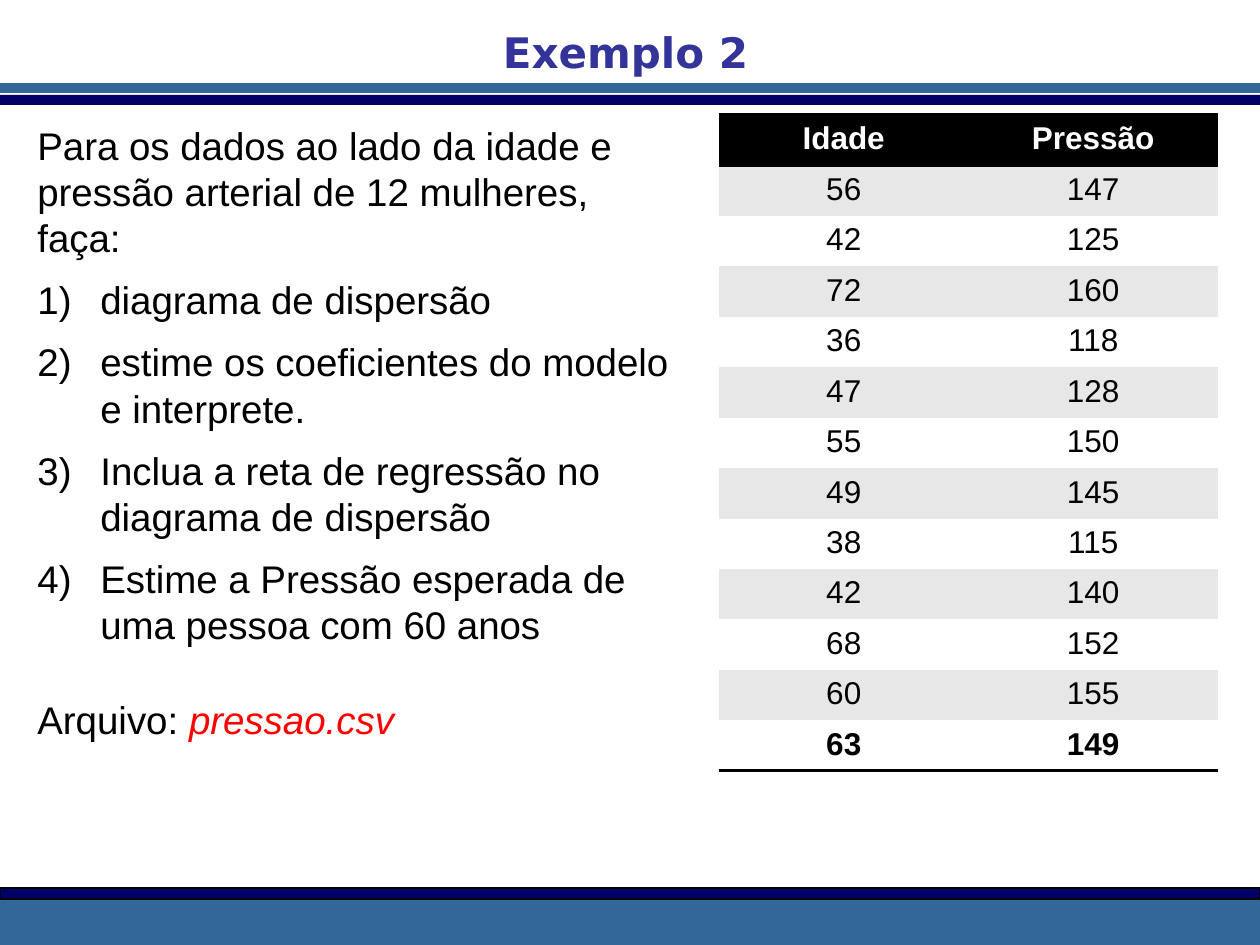
from lxml import etree
from pptx import Presentation
from pptx.dml.color import RGBColor
from pptx.enum.shapes import MSO_SHAPE
from pptx.enum.text import MSO_ANCHOR, MSO_AUTO_SIZE, PP_ALIGN
from pptx.oxml.ns import qn
from pptx.util import Emu, Pt

RECTANGLE = MSO_SHAPE.RECTANGLE
MIDDLE = MSO_ANCHOR.MIDDLE
NO_AUTOFIT = MSO_AUTO_SIZE.NONE
CENTER = PP_ALIGN.CENTER
PX_PER_INCH = 126
TITLE_ONLY = 5

BLACK, WHITE, GREY = "000000", "FFFFFF", "E7E7E7"
STEEL, NAVY, INDIGO, RED = "336699", "000066", "333399", "FF0000"

BANDS = [
    (0, 84, 1260, 10, STEEL, STEEL),
    (0, 94, 1260, 22, WHITE, WHITE),
    (0, 95, 1260, 10, NAVY, None),
    (0, 900, 1260, 45, STEEL, None),
    (0, 888, 1260, 11, NAVY, BLACK),
]
INTRO = "Para os dados ao lado da idade e pressão arterial de 12 mulheres, faça:"
TASKS = [
    "diagrama de dispersão",
    "estime os coeficientes do modelo e interprete.",
    "Inclua a reta de regressão no diagrama de dispersão",
    "Estime a Pressão esperada de uma pessoa com 60 anos",
]
MEASUREMENTS = [
    ("Idade", "Pressão"),
    (56, 147), (42, 125), (72, 160), (36, 118), (47, 128), (55, 150),
    (49, 145), (38, 115), (42, 140), (68, 152), (60, 155), (63, 149),
]


def px(length):
    return Emu(round(length * 914400 / PX_PER_INCH))


def rgb(color):
    return RGBColor.from_string(color)


def add_run(paragraph, text, size, color=BLACK, font="Arial", bold=False, italic=False):
    run = paragraph.add_run()
    run.text = text
    run.font.name = font
    run.font.size = Pt(size)
    run.font.color.rgb = rgb(color)
    run.font.bold = bold
    run.font.italic = italic


def add_band(slide, left, top, width, height, fill, outline):
    band = slide.shapes.add_shape(RECTANGLE, px(left), px(top), px(width), px(height))
    band.shadow.inherit = False
    band.fill.solid()
    band.fill.fore_color.rgb = rgb(fill)
    if outline:
        band.line.color.rgb = rgb(outline)
        band.line.width = Pt(0.75)
    else:
        band.line.fill.background()


def set_title(slide, text):
    title = slide.shapes.title
    title.left, title.top, title.width, title.height = px(489), px(20), px(273), px(63)
    frame = title.text_frame
    frame.word_wrap = False
    frame.auto_size = NO_AUTOFIT
    frame.vertical_anchor = MIDDLE
    heading = frame.paragraphs[0]
    heading.alignment = CENTER
    add_run(heading, text, 24, INDIGO, "DejaVu Sans", bold=True)


def add_text_frame(slide, left, top, width, height):
    frame = slide.shapes.add_textbox(px(left), px(top), px(width), px(height)).text_frame
    frame.word_wrap = True
    return frame


def number_paragraph(paragraph):
    properties = paragraph._p.get_or_add_pPr()
    properties.set("marL", str(px(63)))
    properties.set("indent", str(-px(63)))
    numbering = etree.SubElement(properties, qn("a:buAutoNum"))
    numbering.set("type", "arabicParenR")


def add_exercise(slide):
    frame = add_text_frame(slide, 25, 116, 658, 556)
    intro = frame.paragraphs[0]
    intro.space_after = Pt(9)
    add_run(intro, INTRO, 22)
    for task in TASKS:
        item = frame.add_paragraph()
        item.space_after = Pt(9)
        number_paragraph(item)
        add_run(item, task, 22)


def add_file_note(slide):
    note = add_text_frame(slide, 25, 690, 515, 59).paragraphs[0]
    add_run(note, "Arquivo: ", 22)
    add_run(note, "pressao.csv", 22, RED, italic=True)


def set_borders(cell, ruled_sides):
    properties = cell._tc.get_or_add_tcPr()
    for side in "LRTB":
        border = etree.SubElement(properties, qn(f"a:ln{side}"))
        if side in ruled_sides:
            border.set("w", str(Pt(2)))
            fill = etree.SubElement(border, qn("a:solidFill"))
            etree.SubElement(fill, qn("a:srgbClr")).set("val", BLACK)
        else:
            etree.SubElement(border, qn("a:noFill"))


def fill_cell(cell, text, fill, color, bold, ruled_sides):
    set_borders(cell, ruled_sides)
    cell.fill.solid()
    cell.fill.fore_color.rgb = rgb(fill)
    paragraph = cell.text_frame.paragraphs[0]
    paragraph.alignment = CENTER
    add_run(paragraph, text, 18, color, bold=bold)


def add_measurements(slide):
    last = len(MEASUREMENTS) - 1
    table = slide.shapes.add_table(
        len(MEASUREMENTS), 2, px(719), px(115), px(499), px(655)
    ).table
    table.horz_banding = False
    for index, values in enumerate(MEASUREMENTS):
        header = index == 0
        fill = BLACK if header else GREY if index % 2 else WHITE
        color = WHITE if header else BLACK
        ruled_sides = "TB" if header else "T" if index == 1 else "B" if index == last else ""
        for column, value in enumerate(values):
            fill_cell(table.cell(index, column), str(value), fill, color,
                      index in (0, last), ruled_sides)


def main():
    presentation = Presentation()
    presentation.slide_width, presentation.slide_height = px(1260), px(945)
    slide = presentation.slides.add_slide(presentation.slide_layouts[TITLE_ONLY])
    for band in BANDS:
        add_band(slide, *band)
    set_title(slide, "Exemplo 2")
    add_exercise(slide)
    add_measurements(slide)
    add_file_note(slide)
    presentation.save("out.pptx")


if __name__ == "__main__":
    main()
